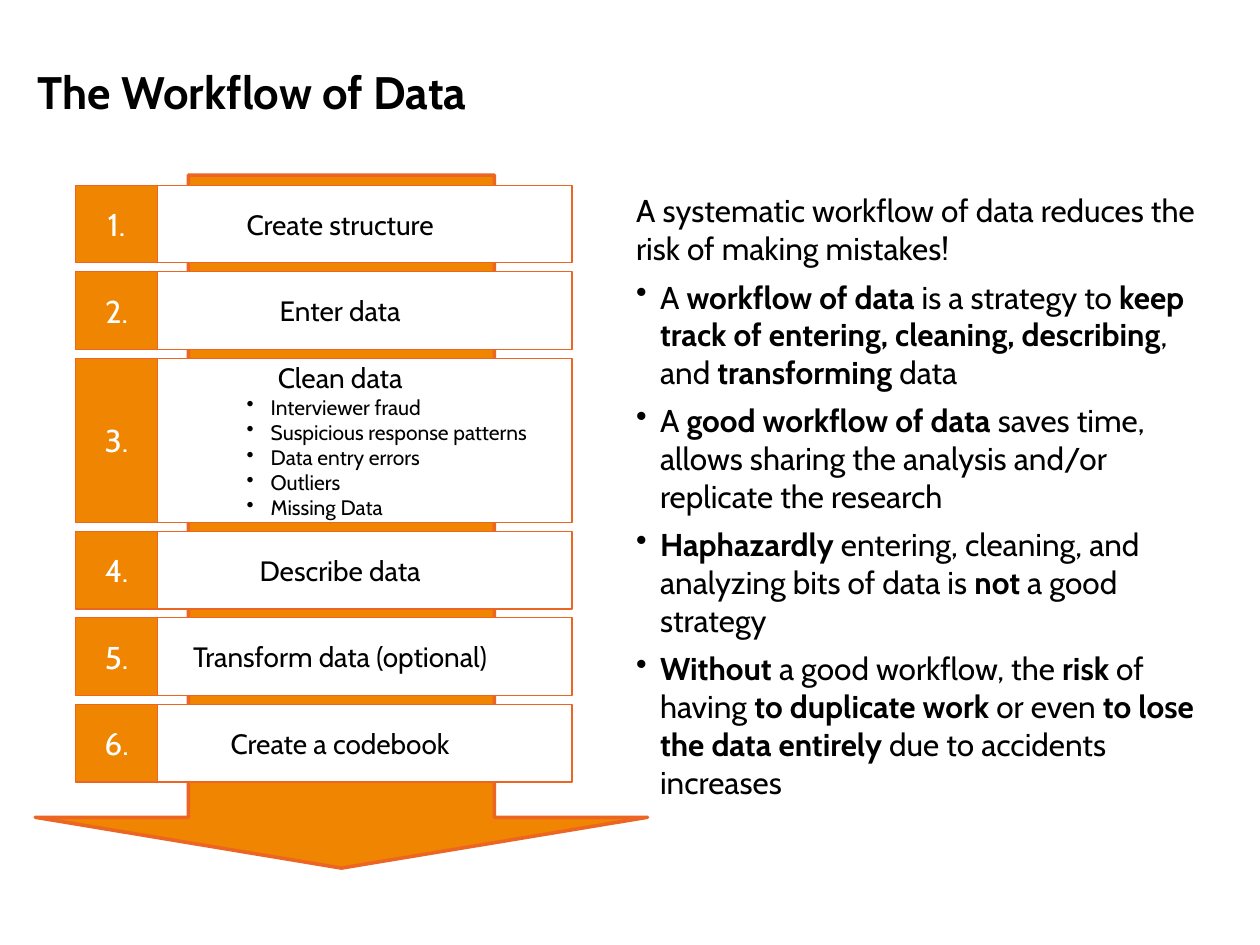
from lxml import etree
from pptx import Presentation
from pptx.dml.color import RGBColor
from pptx.enum.shapes import MSO_SHAPE
from pptx.enum.text import MSO_ANCHOR, PP_ALIGN
from pptx.oxml.ns import qn
from pptx.util import Inches, Pt

RECT, ARROW = MSO_SHAPE.RECTANGLE, MSO_SHAPE.DOWN_ARROW
MIDDLE, TOP = MSO_ANCHOR.MIDDLE, MSO_ANCHOR.TOP
LEFT, CENTER = PP_ALIGN.LEFT, PP_ALIGN.CENTER

WIDE, HIGH = 10, 7.5
COLORS = {"fill": "EF8500", "edge": "EC6523", "paper": "FFFFFF", "ink": "000000"}
FONT = "Cabin"

# Step rows: each takes whole grid units, with a gap below
FIRST, LAST, GAP = 1.47, 5.59, 0.07
UNIT = (LAST - FIRST) / 6

STEPS = [
    ("Create structure", []),
    ("Enter data", []),
    ("Clean data", [
        "Interviewer fraud",
        "Suspicious response patterns",
        "Data entry errors",
        "Outliers",
        "Missing Data",
    ]),
    ("Describe data", []),
    ("Transform data (optional)", []),
    ("Create a codebook", []),
]

LEAD = "A systematic workflow of data reduces the risk of making mistakes!"
POINTS = [
    "A **workflow of data **is a strategy to **keep track of entering, cleaning, "
    "describing**, and **transforming** data",
    "A **good workflow of data **saves time, allows sharing the analysis and/or "
    "replicate the research",
    "**Haphazardly **entering, cleaning, and analyzing bits of data is **not** "
    "a good strategy",
    "**Without **a good workflow, the **risk **of having **to duplicate work **"
    "or even **to lose the data entirely **due to accidents increases",
]


def color(name):
    return RGBColor.from_string(COLORS[name])


def apply(target, values):
    for name, value in values.items():
        setattr(target, name, value)


def add_shape(slide, kind, box, fill, weight):
    shape = slide.shapes.add_shape(kind, *map(Inches, box))
    shape.shadow.inherit = False
    shape.fill.solid()
    shape.fill.fore_color.rgb = color(fill)
    shape.line.color.rgb = color("edge")
    shape.line.width = Pt(weight)
    return shape


def add_box(slide, box, anchor):
    shape = slide.shapes.add_textbox(*map(Inches, box))
    apply(shape.text_frame, {"word_wrap": True, "vertical_anchor": anchor})
    return shape


def add_bullet(para, indent):
    props = para._p.get_or_add_pPr()
    props.set("marL", str(Inches(indent)))
    props.set("indent", str(Inches(-0.19)))
    etree.SubElement(props, qn("a:buChar")).set("char", "•")


def write(shape, text, size, ink="ink", align=LEFT, before=0, indent=0):
    """Add a paragraph; text between ** marks is bold."""
    frame = shape.text_frame
    para = frame.paragraphs[0]
    if para.runs:
        para = frame.add_paragraph()
    apply(para, {"alignment": align, "space_before": Pt(before)})
    if indent:
        add_bullet(para, indent)
    for place, part in enumerate(text.split("**")):
        if part:
            run = para.add_run()
            run.text = part
            apply(run.font, {"name": FONT, "size": Pt(size), "bold": place % 2 == 1})
            run.font.color.rgb = color(ink)


def add_step(slide, number, name, items, top, height):
    body = add_shape(slide, RECT, (0.86, top, 3.68, height), "paper", 0.75)
    write(body, name, 16, align=CENTER)
    for item in items:
        write(body, item, 12, indent=1.19)
    badge = add_shape(slide, RECT, (0.6, top, 0.65, height), "fill", 0.75)
    write(badge, f"{number}.", 18, "paper", CENTER)
    for shape in (body, badge):
        apply(shape.text_frame, {"word_wrap": True, "vertical_anchor": MIDDLE})


def add_flow(slide):
    arrow = add_shape(slide, ARROW, (0.28, 1.39, 4.86, 5.5), "fill", 2)
    arrow.adjustments[0], arrow.adjustments[1] = 0.5, 0.083
    top = FIRST
    for number, (name, items) in enumerate(STEPS, 1):
        span = UNIT * (2 if items else 1)
        add_step(slide, number, name, items, top, span - GAP)
        top += span


def main():
    deck = Presentation()
    deck.slide_width, deck.slide_height = Inches(WIDE), Inches(HIGH)
    slide = deck.slides.add_slide(deck.slide_layouts[6])

    title = add_box(slide, (0.2, 0.1, 9.61, 1.25), MIDDLE)
    write(title, "**The Workflow of Data**", 26)
    add_flow(slide)
    notes = add_box(slide, (4.95, FIRST, 4.82, 4.68), TOP)
    write(notes, LEAD, 18, before=6)
    for point in POINTS:
        write(notes, point, 18, before=6, indent=0.19)

    deck.save("out.pptx")


if __name__ == "__main__":
    main()
